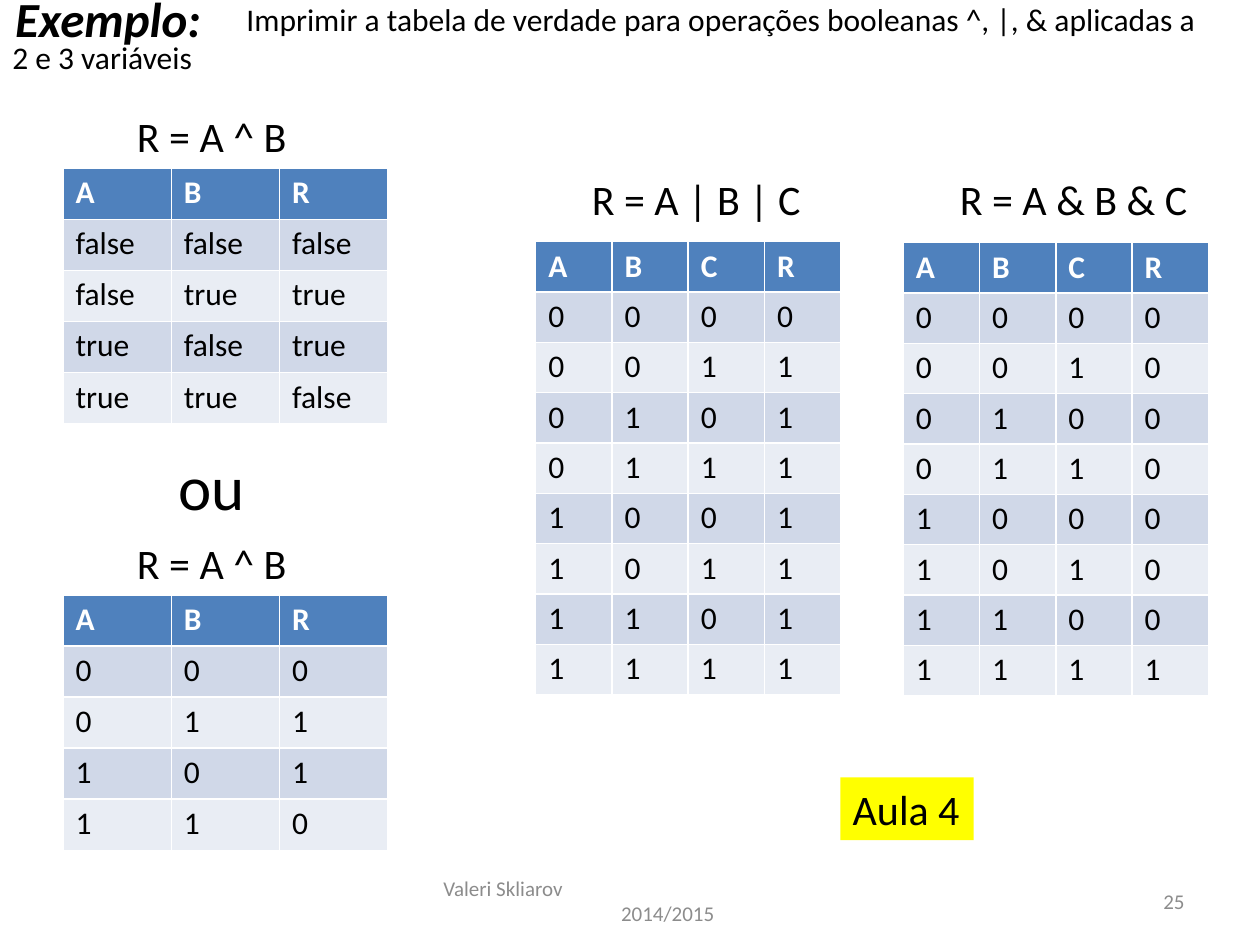
from dataclasses import dataclass
from itertools import product

from pptx import Presentation
from pptx.dml.color import RGBColor
from pptx.enum.shapes import MSO_SHAPE
from pptx.enum.text import MSO_ANCHOR, MSO_AUTO_SIZE, PP_ALIGN
from pptx.util import Cm, Pt

RECTANGLE = MSO_SHAPE.RECTANGLE
TOP, MIDDLE = MSO_ANCHOR.TOP, MSO_ANCHOR.MIDDLE
LEFT, RIGHT = PP_ALIGN.LEFT, PP_ALIGN.RIGHT
NO_AUTOSIZE = MSO_AUTO_SIZE.NONE


@dataclass(frozen=True)
class Theme:
    font: str = "Calibri"
    black: RGBColor = RGBColor(0x00, 0x00, 0x00)
    white: RGBColor = RGBColor(0xFF, 0xFF, 0xFF)
    gray: RGBColor = RGBColor(0x8C, 0x8C, 0x8C)
    header: RGBColor = RGBColor(0x4F, 0x81, 0xBD)
    bands: tuple = (RGBColor(0xE9, 0xED, 0xF4), RGBColor(0xD0, 0xD8, 0xE8))
    highlight: RGBColor = RGBColor(0xFF, 0xFF, 0x00)
    small: int = 12
    body: int = 18
    formula: int = 24
    title: int = 28
    large: int = 36


theme = Theme()


def format_text(text_frame, size, color=theme.black, bold=False, align=LEFT):
    for paragraph in text_frame.paragraphs:
        paragraph.alignment = align
        for run in paragraph.runs:
            run.font.name = theme.font
            run.font.size = Pt(size)
            run.font.bold = bold
            run.font.color.rgb = color


def add_text(text, left, top, width, height, size, color=theme.black,
             align=LEFT, anchor=TOP, wrap=False):
    box = slide.shapes.add_textbox(Cm(left), Cm(top), Cm(width), Cm(height))
    box.text_frame.text = text
    box.text_frame.word_wrap = wrap
    box.text_frame.vertical_anchor = anchor
    format_text(box.text_frame, size, color, align=align)
    return box


presentation = Presentation()
presentation.slide_width, presentation.slide_height = Cm(25.4), Cm(19.05)
slide = presentation.slides.add_slide(presentation.slide_layouts[5])

# Title
title = slide.shapes.title
title.left, title.top, title.width, title.height = Cm(0.05), Cm(-0.36), Cm(4.29), Cm(1.45)
title.text_frame.text = "Exemplo:"
title.text_frame.word_wrap = False
title.text_frame.auto_size = NO_AUTOSIZE
title.text_frame.vertical_anchor = TOP
format_text(title.text_frame, theme.title, bold=True)
title.text_frame.paragraphs[0].runs[0].font.italic = True

# Task, whose first line starts to the right of the title
task = add_text(
    "Imprimir a tabela de verdade para operações booleanas ^, |, & aplicadas a 2 e 3 variáveis",
    0, -0.13, 24.77, 1.8, theme.body, wrap=True)
task.text_frame.paragraphs[0]._p.get_or_add_pPr().set("indent", str(Cm(4.72)))

# Truth tables: formula, its box, variables, operation, value words, table box
small_size, large_size = (6.55, 5.15), (6.15, 9.14)
truth_tables = [
    ("R = A ^ B", (2.51, 2.11, 3.56), "AB", lambda a, b: a ^ b,
     ("false", "true"), (1.27, 3.39, *small_size)),
    ("R = A ^ B", (2.51, 10.72, 3.56), "AB", lambda a, b: a ^ b,
     ("0", "1"), (1.27, 11.99, *small_size)),
    ("R = A | B | C", (11.68, 3.38, 4.75), "ABC", lambda a, b, c: a | b | c,
     ("0", "1"), (10.8, 4.87, *large_size)),
    ("R = A & B & C", (19.1, 3.38, 5.13), "ABC", lambda a, b, c: a & b & c,
     ("0", "1"), (18.21, 4.89, *large_size)),
]
for formula, formula_box, variables, operation, words, table_box in truth_tables:
    add_text(formula, *formula_box, 1.27, theme.formula)
    rows = [[*variables, "R"]]
    for inputs in product((0, 1), repeat=len(variables)):
        rows.append([words[value] for value in (*inputs, operation(*inputs))])
    table = slide.shapes.add_table(len(rows), len(rows[0]), *map(Cm, table_box)).table
    for row_index, row in enumerate(rows):
        is_header = row_index == 0
        for column_index, text in enumerate(row):
            cell = table.cell(row_index, column_index)
            cell.text_frame.text = text
            cell.margin_top = cell.margin_bottom = Cm(0.11)
            cell.fill.solid()
            cell.fill.fore_color.rgb = theme.header if is_header else theme.bands[row_index % 2]
            format_text(cell.text_frame, theme.body,
                        theme.white if is_header else theme.black, bold=is_header)

# Word between the two forms of the first table
add_text("ou", 3.35, 8.89, 1.85, 1.8, theme.large)

# Lesson label
label = slide.shapes.add_shape(RECTANGLE, Cm(16.94), Cm(15.67), Cm(2.69), Cm(1.27))
label.shadow.inherit = False
label.fill.solid()
label.fill.fore_color.rgb = theme.highlight
label.line.fill.background()
label.text_frame.text = "Aula 4"
label.text_frame.word_wrap = False
label.text_frame.vertical_anchor = TOP
format_text(label.text_frame, theme.formula)

# Footer and page number
footer = add_text("Valeri Skliarov\n2014/2015", 8.69, 17.65, 8.05, 1.02, theme.small,
                  theme.gray, anchor=MIDDLE, wrap=True)
footer.text_frame.paragraphs[1]._p.get_or_add_pPr().set("marL", str(Cm(3.58)))
add_text("25", 18.21, 17.65, 5.92, 1.02, theme.small, theme.gray,
         align=RIGHT, anchor=MIDDLE, wrap=True)

presentation.save("out.pptx")
